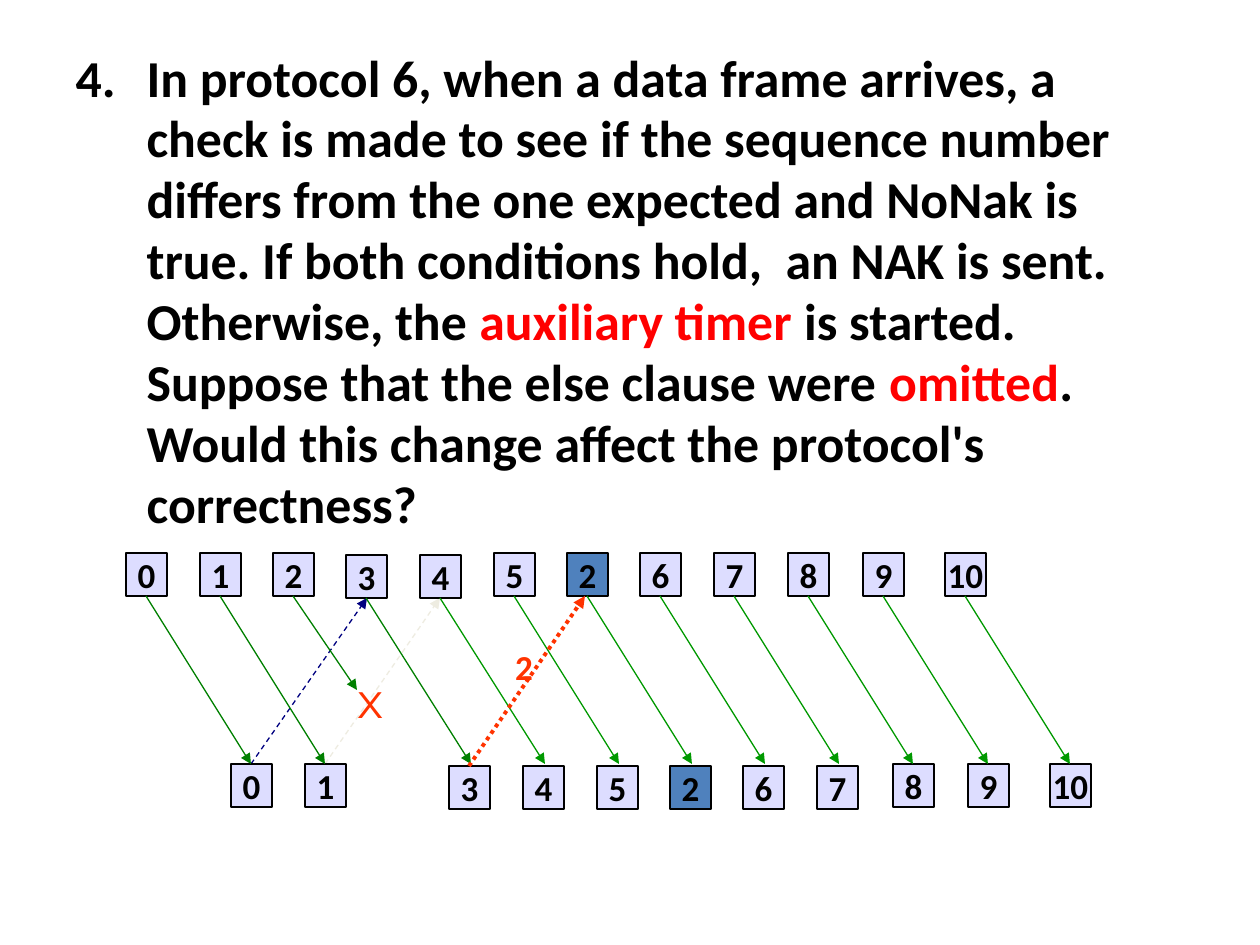
from lxml.etree import SubElement
from pptx import Presentation
from pptx.dml.color import RGBColor
from pptx.enum.dml import MSO_LINE
from pptx.enum.shapes import MSO_CONNECTOR, MSO_SHAPE
from pptx.enum.text import MSO_ANCHOR, MSO_AUTO_SIZE, PP_ALIGN
from pptx.oxml.ns import qn
from pptx.util import Emu, Pt

EMU_PER_PX = 914400 / 126
COLORS = {
    "black": "000000", "highlight": "FF0000", "frame": "DDDDFF",
    "resent": "4F81BD", "early": "008000", "later": "009900",
    "ack": "000080", "faint": "EEECE1", "nak": "FF3300",
}
FRAME_W, FRAME_H = 41, 43
SENT_Y, RECEIVED_Y = 553, 764
FIRST_X, PITCH = 126, 73.5
TRAVEL_X = 105  # how far a frame moves right on its way

QUESTION = [
    ("In protocol 6, when a data frame arrives, a check is made to see if the "
     "sequence number differs from the one expected and NoNak is true. If both "
     "conditions hold,  an NAK is sent. Otherwise, the ", "black"),
    ("auxiliary timer ", "highlight"),
    ("is started.  Suppose that the else clause were ", "black"),
    ("omitted", "highlight"),
    (". Would this change affect the protocol's correctness?", "black"),
]
LABELS = ["0", "1", "2", "3", "4", "5", "2", "6", "7", "8", "9", "10"]
LOST, RESENT = 2, 6
SHIFTED_X = {10: 863, 11: 945}


def px(value):
    return Emu(round(value * EMU_PER_PX))


def rgb(name):
    return RGBColor.from_string(COLORS[name])


def add_run(paragraph, text, size, color, font="Calibri", bold=True):
    run = paragraph.add_run()
    run.text = text
    run.font.size = Pt(size)
    run.font.name = font
    run.font.bold = bold
    run.font.color.rgb = rgb(color)


def add_question(slide):
    body = slide.placeholders[1]
    body.left, body.top, body.width, body.height = px(63), px(42), px(1134), px(431)
    frame = body.text_frame
    frame.auto_size = MSO_AUTO_SIZE.NONE
    paragraph = frame.paragraphs[0]
    paragraph.space_before = Pt(6)
    paragraph.line_spacing = 0.98
    for text, color in QUESTION:
        add_run(paragraph, text, 29.6, color)
    # Hanging number
    properties = paragraph._p.get_or_add_pPr()
    properties.set("marL", str(px(71)))
    properties.set("indent", str(-px(71)))
    SubElement(properties, qn("a:buFont"), typeface="+mj-lt")
    SubElement(properties, qn("a:buAutoNum"), type="arabicPeriod", startAt="4")


def add_frame(slide, label, x, y, fill):
    box = slide.shapes.add_shape(
        MSO_SHAPE.RECTANGLE, px(x), px(y), px(FRAME_W), px(FRAME_H))
    box.shadow.inherit = False
    box.fill.solid()
    box.fill.fore_color.rgb = rgb(fill)
    box.line.color.rgb = rgb("black")
    box.line.width = Pt(0.75)
    box.text_frame.word_wrap = False
    box.text_frame.vertical_anchor = MSO_ANCHOR.MIDDLE
    paragraph = box.text_frame.paragraphs[0]
    paragraph.alignment = PP_ALIGN.CENTER
    add_run(paragraph, label, 20, fill and "black")


def add_arrow(slide, start, end, color, width=0.75, dash=None):
    arrow = slide.shapes.add_connector(
        MSO_CONNECTOR.STRAIGHT, *(px(value) for value in (*start, *end)))
    arrow.line.color.rgb = rgb(color)
    arrow.line.width = Pt(width)
    if dash is not None:
        arrow.line.dash_style = dash
    SubElement(arrow.line._ln, qn("a:tailEnd"), type="triangle")
    SubElement(arrow._element.spPr, qn("a:effectLst"))


def add_mark(slide, text, box, size, font, bold, inset, anchor, align):
    mark = slide.shapes.add_textbox(*(px(value) for value in box))
    frame = mark.text_frame
    frame.word_wrap = False
    frame.vertical_anchor = anchor
    frame.margin_left = frame.margin_right = px(inset)
    frame.margin_top = frame.margin_bottom = px(inset / 2)
    paragraph = frame.paragraphs[0]
    paragraph.alignment = align
    add_run(paragraph, text, size, "nak", font, bold)


def add_transmission(slide, index, label):
    sent_x = SHIFTED_X.get(index, FIRST_X + round(PITCH * index))
    fill = "resent" if index == RESENT else "frame"
    color = "early" if index <= 3 else "later"
    sent_y = SENT_Y + 2 * (index in (3, 4))
    add_frame(slide, label, sent_x, sent_y, fill)

    start = (sent_x + 20, sent_y + FRAME_H)
    if index == LOST:
        add_arrow(slide, start, (357, 690), color)
        return
    # The middle group of received frames sits slightly lower and to the left
    nudge = 2 if 3 <= index <= 8 else 0
    add_frame(slide, label, sent_x + TRAVEL_X - nudge, RECEIVED_Y + nudge, fill)
    add_arrow(slide, start, (start[0] + TRAVEL_X, RECEIVED_Y), color)


def main():
    presentation = Presentation()
    presentation.slide_width, presentation.slide_height = px(1260), px(945)
    slide = presentation.slides.add_slide(presentation.slide_layouts[1])
    heading = slide.shapes.title._element
    heading.getparent().remove(heading)

    add_question(slide)

    # Acknowledgements
    add_arrow(slide, (251, 764), (367, 598), "ack", dash=MSO_LINE.DASH)
    add_arrow(slide, (325, 764), (440, 598), "faint", dash=MSO_LINE.DASH)

    # Frames on their way from sender to receiver
    for index, label in enumerate(LABELS):
        add_transmission(slide, index, label)

    # Lost frame and the NAK for it
    add_mark(slide, "x", (357, 669, 33, 59), 28, "Montserrat", False, 0,
             MSO_ANCHOR.TOP, PP_ALIGN.LEFT)
    add_arrow(slide, (469, 766), (585, 596), "nak", 2.25, MSO_LINE.ROUND_DOT)
    add_mark(slide, "2", (503, 640, 42, 53), 20, "Calibri", True, 12,
             MSO_ANCHOR.MIDDLE, PP_ALIGN.CENTER)

    presentation.save("out.pptx")


main()
